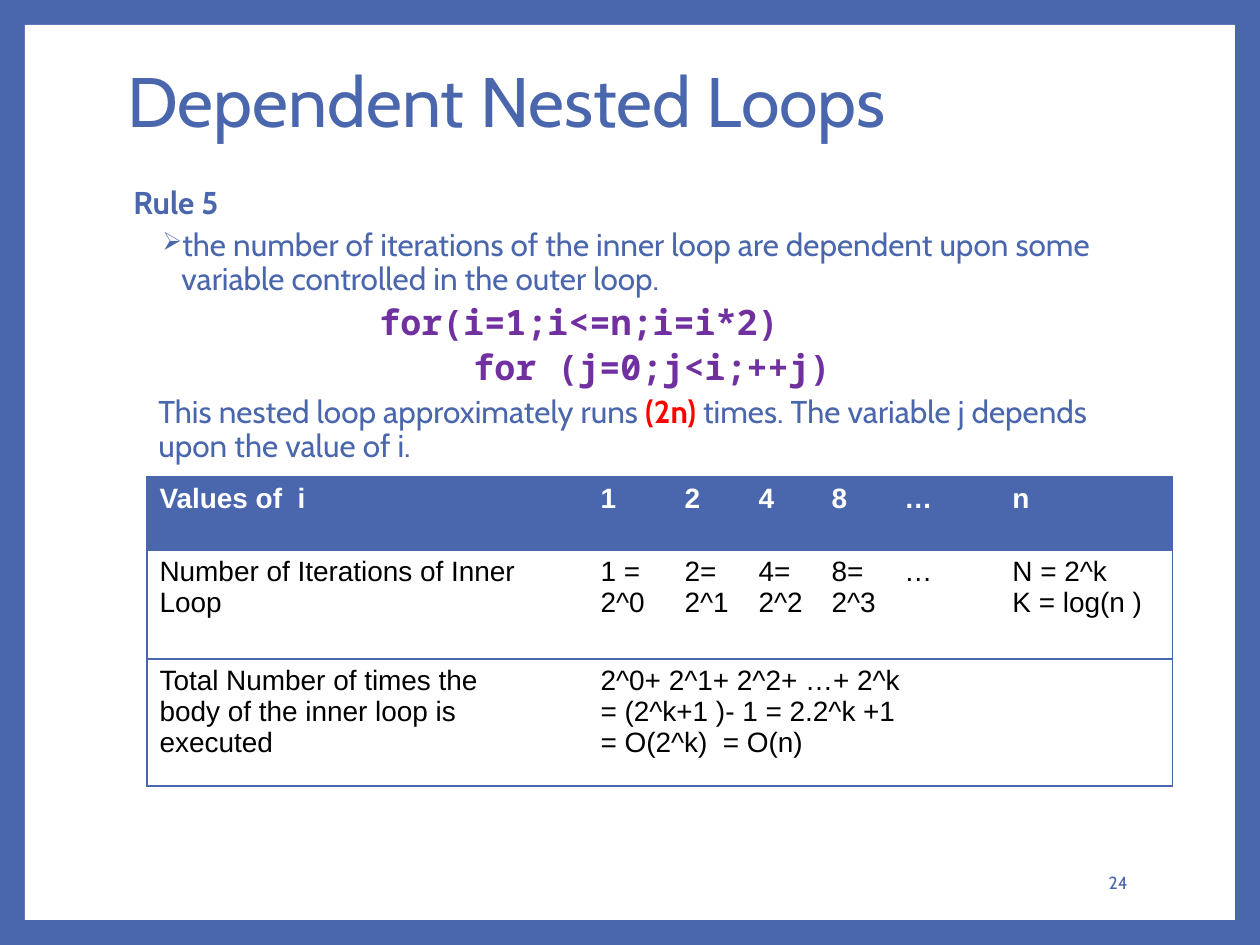
from lxml.etree import SubElement
from pptx import Presentation
from pptx.dml.color import RGBColor
from pptx.enum.shapes import MSO_SHAPE as Shape
from pptx.enum.text import MSO_ANCHOR as Anchor, MSO_AUTO_SIZE as AutoSize, PP_ALIGN as Align
from pptx.oxml.ns import qn
from pptx.util import Pt

EMU_PER_PX = 914400 / 126
COLORS = {"blue": "4A66AC", "white": "FFFFFF", "purple": "7030A0", "red": "FF0000", "black": "000000"}
BODY = {"name": "Cabin", "size": 18, "color": "blue", "bold": False}
STRONG = {**BODY, "bold": True}
CODE = {"name": "Noto Sans Mono", "size": 20, "color": "purple", "bold": True}
CELL = {"name": "Arial", "size": 16, "color": "black", "bold": False}
HEADER = {**CELL, "color": "white", "bold": True}
SPACING = {"line_spacing": 0.9, "space_before": Pt(1.5), "space_after": Pt(3)}

PARAGRAPHS = [
    (0, 0, [("Rule 5", STRONG)]),
    (48, -19, [("the number of iterations of the inner loop are dependent upon some "
                "variable controlled in the outer loop.", BODY)]),
    (246, 0, [("for(i=1;i<=n;i=i*2)", CODE)]),
    (340, 0, [("for (j=0;j<i;++j)", CODE)]),
    (25, 0, [("This nested loop approximately runs ", BODY),
             ("(2n) ", {**STRONG, "color": "red"}),
             ("times. The variable j depends upon the value of i.", BODY)]),
]
COLUMN_WIDTHS = [441, 84, 74, 73, 73, 108, 173]
ROW_HEIGHTS = [73, 109, 127]
ROWS = [
    ["Values of  i", "1", "2", "4", "8", "…", "n"],
    ["Number of Iterations of Inner Loop", "1 = 2^0", "2= 2^1", "4= 2^2", "8= 2^3", "…",
     "N = 2^k\nK = log(n )"],
    ["Total Number of times the\nbody of the inner loop is executed",
     "2^0+ 2^1+ 2^2+ …+ 2^k\n= (2^k+1 )- 1 = 2.2^k +1\n= O(2^k)  = O(n)"],
]


def px(value):
    return round(value * EMU_PER_PX)


def color(name):
    return RGBColor.from_string(COLORS[name])


def set_attributes(target, values):
    for name, value in values.items():
        setattr(target, name, value)


def add_run(paragraph, text, style):
    run = paragraph.add_run()
    run.text = text
    set_attributes(run.font, {"name": style["name"], "size": Pt(style["size"]), "bold": style["bold"]})
    run.font.color.rgb = color(style["color"])


def add_bullet(properties):
    bullet_color = SubElement(properties, qn("a:buClr"))
    SubElement(bullet_color, qn("a:srgbClr"), val=COLORS["blue"])
    SubElement(properties, qn("a:buSzPct"), val="80000")
    SubElement(properties, qn("a:buChar"), char="➢")


def add_frame(slide, box):
    shape = slide.shapes.add_shape(Shape.RECTANGLE, *map(px, box))
    shape.shadow.inherit = False
    shape.fill.solid()
    shape.fill.fore_color.rgb = color("white")
    shape.line.fill.background()
    slide.shapes.title._element.addprevious(shape._element)


def add_title(slide, box):
    title = slide.shapes.title
    set_attributes(title, dict(zip(("left", "top", "width", "height"), map(px, box))))
    set_attributes(title.text_frame, {"vertical_anchor": Anchor.MIDDLE, "word_wrap": True,
                                      "auto_size": AutoSize.NONE})
    paragraph = title.text_frame.paragraphs[0]
    set_attributes(paragraph, {"alignment": Align.LEFT, "line_spacing": 0.9})
    add_run(paragraph, "Dependent Nested Loops", {**BODY, "size": 40})


def add_body(slide, box):
    frame = slide.shapes.add_textbox(*map(px, box)).text_frame
    frame.word_wrap = True
    for index, (margin, indent, runs) in enumerate(PARAGRAPHS):
        paragraph = frame.add_paragraph() if index else frame.paragraphs[0]
        set_attributes(paragraph, SPACING)
        properties = paragraph._p.get_or_add_pPr()
        properties.set("marL", str(px(margin)))
        properties.set("indent", str(px(indent)))
        if indent:
            add_bullet(properties)
        for text, style in runs:
            add_run(paragraph, text, style)


def set_borders(cell, visible):
    properties = cell._tc.get_or_add_tcPr()
    for side in "LRTB":
        line = SubElement(properties, qn(f"a:ln{side}"), w=str(Pt(0.79)))
        if side in visible:
            fill = SubElement(line, qn("a:solidFill"))
            SubElement(fill, qn("a:srgbClr"), val=COLORS["blue"])
        else:
            SubElement(line, qn("a:noFill"))


def add_table(slide, left, top):
    box = (left, top, sum(COLUMN_WIDTHS), sum(ROW_HEIGHTS))
    table = slide.shapes.add_table(len(ROWS), len(COLUMN_WIDTHS), *map(px, box)).table
    set_attributes(table, {"first_row": False, "horz_banding": False})
    for column, width in zip(table.columns, COLUMN_WIDTHS):
        column.width = px(width)
    for row, height in zip(table.rows, ROW_HEIGHTS):
        row.height = px(height)
    last = len(COLUMN_WIDTHS) - 1
    table.cell(2, 1).merge(table.cell(2, last))
    for row_index, row in enumerate(table.rows):
        fill = "white" if row_index else "blue"
        for column_index, cell in enumerate(row.cells):
            at_right = column_index == last or cell.is_merge_origin
            set_borders(cell, "TB" + "L" * (column_index == 0) + "R" * at_right)
            cell.fill.solid()
            cell.fill.fore_color.rgb = color(fill)
    for row_index, texts in enumerate(ROWS):
        style = CELL if row_index else HEADER
        for column_index, text in enumerate(texts):
            frame = table.cell(row_index, column_index).text_frame
            for index, line in enumerate(text.split("\n")):
                paragraph = frame.add_paragraph() if index else frame.paragraphs[0]
                add_run(paragraph, line, style)


def add_page_number(slide, box):
    frame = slide.shapes.add_textbox(*map(px, box)).text_frame
    set_attributes(frame, {"word_wrap": True, "vertical_anchor": Anchor.MIDDLE})
    paragraph = frame.paragraphs[0]
    paragraph.alignment = Align.RIGHT
    add_run(paragraph, "24", {**BODY, "size": 10})


def main():
    presentation = Presentation()
    set_attributes(presentation, {"slide_width": px(1260), "slide_height": px(945)})
    slide = presentation.slides.add_slide(presentation.slide_layouts[5])
    slide.background.fill.solid()
    slide.background.fill.fore_color.rgb = color("blue")
    add_frame(slide, (25, 25, 1210, 895))
    add_title(slide, (115, 11, 1021, 187))
    add_body(slide, (121, 181, 1021, 557))
    add_table(slide, 147, 477)
    add_page_number(slide, (964, 858, 176, 50))
    presentation.save("out.pptx")


if __name__ == "__main__":
    main()
